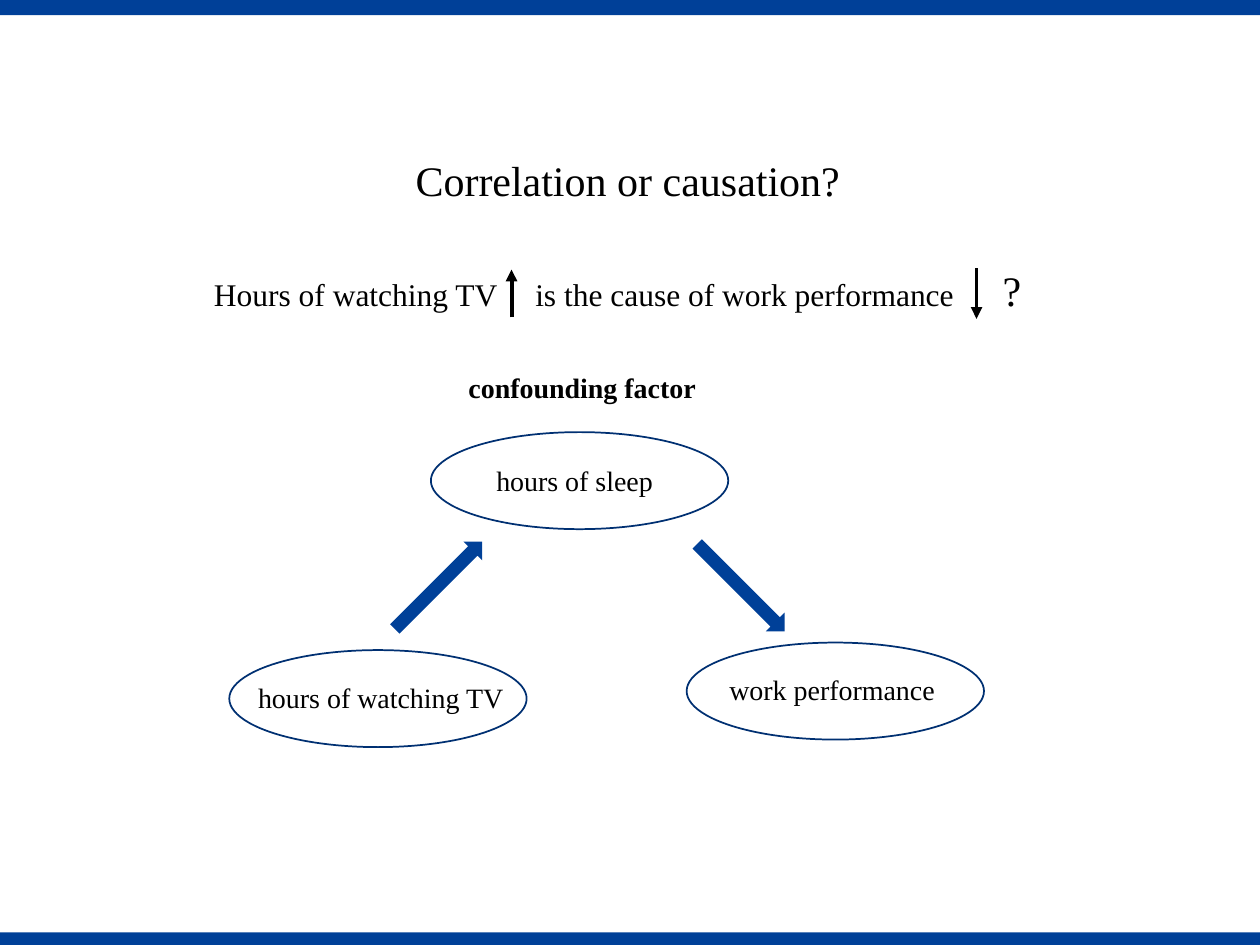
from lxml import etree
from pptx import Presentation, util as u
from pptx.dml.color import RGBColor
from pptx.enum import shapes, text
from pptx.oxml import ns

BLUE = RGBColor(0x00, 0x40, 0x98)
NAVY = RGBColor(0x00, 0x30, 0x72)
BLACK = RGBColor(0x00, 0x00, 0x00)
FONT = "Times New Roman"

deck = Presentation()
deck.slide_width = u.Inches(10)
deck.slide_height = u.Inches(7.5)
slide = deck.slides.add_slide(deck.slide_layouts[6])
COL = deck.slide_width / 100
ROW = deck.slide_height / 75


def add_figure(parent, preset, left, top, width, height, fill=None, line=None):
    figure = parent.add_shape(preset, int(left * COL), int(top * ROW), int(width * COL), int(height * ROW))
    figure.shadow.inherit = False
    if fill is None:
        figure.fill.background()
    else:
        figure.fill.solid()
        figure.fill.fore_color.rgb = fill
    if line is None:
        figure.line.fill.background()
    else:
        figure.line.color.rgb = line
        figure.line.width = u.Pt(1)
    return figure


def add_words(parent, left, top, width, height, runs, bold=False, wrap=False):
    box = parent.add_textbox(int(left * COL), int(top * ROW), int(width * COL), int(height * ROW))
    box.text_frame.word_wrap = wrap
    box.text_frame.auto_size = text.MSO_AUTO_SIZE.SHAPE_TO_FIT_TEXT
    paragraph = box.text_frame.paragraphs[0]
    for words, size in runs:
        run = paragraph.add_run()
        run.text = words
        run.font.name = FONT
        run.font.size = u.Pt(size)
        run.font.bold = bold
        run.font.color.rgb = BLACK
    return paragraph


for top, height in ((74, 1), (0, 1.2)):
    add_figure(slide.shapes, shapes.MSO_SHAPE.RECTANGLE, 0, top, 100, height, fill=BLUE)

sleep = slide.shapes.add_group_shape().shapes
factors = (
    (slide.shapes, 18.2, 51.6, "hours of watching TV", 19.5, 53.5, 22.3),
    (slide.shapes, 54.5, 51, "work performance", 56.9, 52.9, 18.9),
    (sleep, 34.2, 34.3, "hours of sleep", 38.4, 36.3, 15.1),
)
for parent, left, top, label, label_left, label_top, label_width in factors:
    add_figure(parent, shapes.MSO_SHAPE.OVAL, left, top, 23.6, 7.7, line=NAVY)
    add_words(parent, label_left, label_top, label_width, 3.7, [(label, 16)])

for left, top, angle in ((29.9, 45.4, 315), (53.9, 45.6, 45)):
    influence = add_figure(slide.shapes, shapes.MSO_SHAPE.RIGHT_ARROW, left, top, 9.8, 2.1, fill=BLUE)
    influence.rotation = angle

add_words(slide.shapes, 36.2, 28.9, 20.3, 3.7, [("confounding factor", 16)], bold=True)
add_words(slide.shapes, 32, 11.8, 36, 5, [("Correlation or causation?", 24)])

claim = slide.shapes.add_group_shape().shapes
sentence = add_words(
    claim, 16, 20.5, 68, 5,
    [("Hours of watching TV\tis the cause of work performance\t", 18), ("?", 24)],
    wrap=True,
)
stops = etree.SubElement(sentence._p.get_or_add_pPr(), ns.qn("a:tabLst"))
for column in (25.5, 62.6):
    etree.SubElement(stops, ns.qn("a:tab"), pos=str(int(column * COL)), algn="l")

for column, start, end in ((40.6, 25.2, 21.4), (77.5, 21.3, 25.3)):
    trend = claim.add_connector(
        shapes.MSO_CONNECTOR.STRAIGHT,
        int(column * COL), int(start * ROW), int(column * COL), int(end * ROW),
    )
    trend.line.color.rgb = BLACK
    trend.line.width = u.Pt(2.25)
    etree.SubElement(trend.line._get_or_add_ln(), ns.qn("a:tailEnd"), type="triangle")
    etree.SubElement(trend._element.spPr, ns.qn("a:effectLst"))

deck.save("out.pptx")
